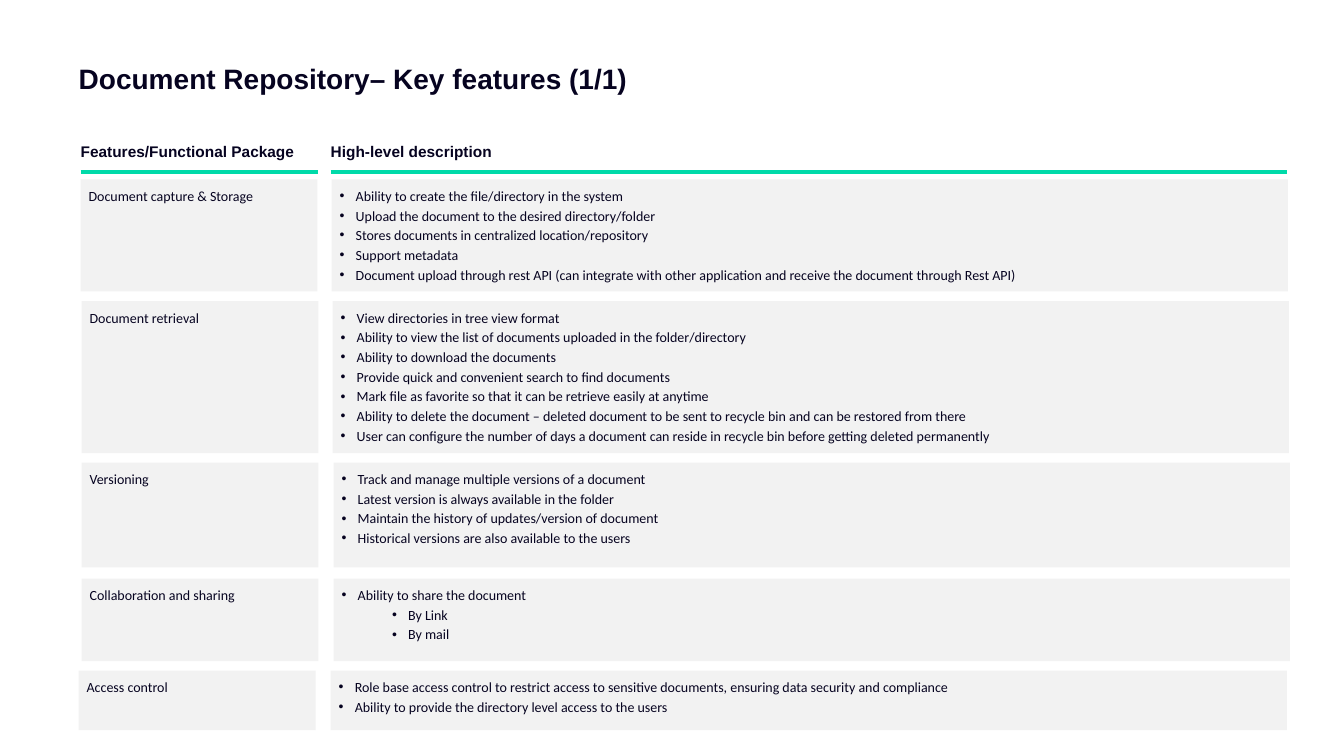
from lxml import etree
from pptx import Presentation
from pptx.dml.color import RGBColor
from pptx.enum.shapes import MSO_CONNECTOR as Connector, MSO_SHAPE as Shape
from pptx.enum.text import MSO_ANCHOR as Anchor, MSO_AUTO_SIZE as AutoSize, PP_ALIGN as Align
from pptx.oxml.ns import qn
from pptx.util import Pt

INK, ACCENT, PANEL = "060320", "00DAA9", "F2F2F2"
FEATURE_WIDTH, DESCRIPTION_WIDTH = 169.2, 683
INDENT, SUB_INDENT = 11.5, 47.5

# Column headings: text, left, rule width
HEADINGS = [
    ("Features/Functional Package", 57.6, 169.2),
    ("High-level description", 236.2, 683.3),
]

# Rows: feature, (feature left, description left, top, height), bullets as (level, text)
ROWS = [
    ("Document capture & Storage", (57.6, 236.9, 128.2, 80), [
        (0, "Ability to create the file/directory in the system"),
        (0, "Upload the document to the desired directory/folder"),
        (0, "Stores documents in centralized location/repository"),
        (0, "Support metadata"),
        (0, "Document upload through rest API (can integrate with other application "
            "and receive the document through Rest API)"),
    ]),
    ("Document retrieval", (58.3, 237.6, 215.2, 108.5), [
        (0, "View directories in tree view format"),
        (0, "Ability to view the list of documents uploaded in the folder/directory"),
        (0, "Ability to download the documents"),
        (0, "Provide quick and convenient search to find documents"),
        (0, "Mark file as favorite so that it can be retrieve easily at anytime"),
        (0, "Ability to delete the document – deleted document to be sent to recycle bin "
            "and can be restored from there"),
        (0, "User can configure the number of days a document can reside in recycle bin "
            "before getting deleted permanently"),
    ]),
    ("Versioning", (58.3, 238.3, 330.5, 74.9), [
        (0, "Track and manage multiple versions of a document"),
        (0, "Latest version is always available in the folder"),
        (0, "Maintain the history of updates/version of document"),
        (0, "Historical versions are also available to the users"),
    ]),
    ("Collaboration and sharing", (58.3, 238.3, 413.3, 59), [
        (0, "Ability to share the document"),
        (1, "By Link"),
        (1, "By mail"),
    ]),
    ("Access control", (56.2, 236.2, 479, 42.5), [
        (0, "Role base access control to restrict access to sensitive documents, "
            "ensuring data security and compliance"),
        (0, "Ability to provide the directory level access to the users"),
    ]),
]


def color(value):
    return RGBColor.from_string(value)


def set_font(paragraph, name, size, bold=False):
    paragraph.alignment = Align.LEFT
    font = paragraph.font
    font.name, font.size, font.bold = name, Pt(size), bold
    font.color.rgb = color(INK)


def set_frame(frame, insets, anchor=Anchor.TOP):
    frame.word_wrap = True
    frame.vertical_anchor = anchor
    frame.margin_left, frame.margin_top, frame.margin_right, frame.margin_bottom = map(Pt, insets)


def add_bullet(paragraph, indent):
    properties = paragraph._p.get_or_add_pPr()
    properties.set("marL", str(Pt(indent)))
    properties.set("indent", str(-Pt(INDENT)))
    etree.SubElement(properties, qn("a:buFont")).set("typeface", "Arial")
    etree.SubElement(properties, qn("a:buChar")).set("char", "•")


def format_title(slide, left, top, width, height):
    title = slide.shapes.title
    title.left, title.top, title.width, title.height = map(Pt, (left, top, width, height))
    frame = title.text_frame
    frame.text = "Document Repository– Key features (1/1)"
    set_frame(frame, (0, 5.8, 7.2, 3.6))
    frame.auto_size = AutoSize.SHAPE_TO_FIT_TEXT
    set_font(frame.paragraphs[0], "Arial", 20, True)


def add_heading(slide, text, left, top, width):
    box = slide.shapes.add_textbox(Pt(left), Pt(top), Pt(width), Pt(16.6))
    set_frame(box.text_frame, (0, 0, 0, 0), Anchor.MIDDLE)
    paragraph = box.text_frame.paragraphs[0]
    paragraph.text = text
    paragraph.line_spacing, paragraph.space_before = 0.9, Pt(10)
    set_font(paragraph, "Arial", 11, True)
    # Rule under the heading
    rule_top = Pt(top + 21.8)
    rule = slide.shapes.add_connector(Connector.STRAIGHT, Pt(left), rule_top,
                                      Pt(left + width), rule_top)
    rule.line.color.rgb = color(ACCENT)
    rule.line.width = Pt(3)
    etree.SubElement(rule._element.spPr, qn("a:effectLst"))


def add_panel(slide, left, top, width, height, items, bulleted):
    panel = slide.shapes.add_shape(Shape.RECTANGLE, Pt(left), Pt(top), Pt(width), Pt(height))
    panel.shadow.inherit = False
    panel.fill.solid()
    panel.fill.fore_color.rgb = color(PANEL)
    panel.line.fill.background()
    frame = panel.text_frame
    set_frame(frame, (5.7,) * 4)
    for index, (level, text) in enumerate(items):
        paragraph = frame.add_paragraph() if index else frame.paragraphs[0]
        paragraph.text = text
        paragraph.level = level
        paragraph.space_after = Pt(2)
        set_font(paragraph, "Calibri", 10)
        if bulleted:
            add_bullet(paragraph, SUB_INDENT if level else INDENT)


def add_row(slide, feature, box, bullets):
    feature_left, description_left, top, height = box
    add_panel(slide, feature_left, top, FEATURE_WIDTH, height, [(0, feature)], False)
    add_panel(slide, description_left, top, DESCRIPTION_WIDTH, height, bullets, True)


def main():
    presentation = Presentation()
    presentation.slide_width, presentation.slide_height = Pt(960), Pt(540)
    slide = presentation.slides.add_slide(presentation.slide_layouts[5])
    format_title(slide, 56.2, 38.2, 809.3, 33.8)
    for text, left, width in HEADINGS:
        add_heading(slide, text, left, 100.8, width)
    for feature, box, bullets in ROWS:
        add_row(slide, feature, box, bullets)
    presentation.save("out.pptx")


if __name__ == "__main__":
    main()
